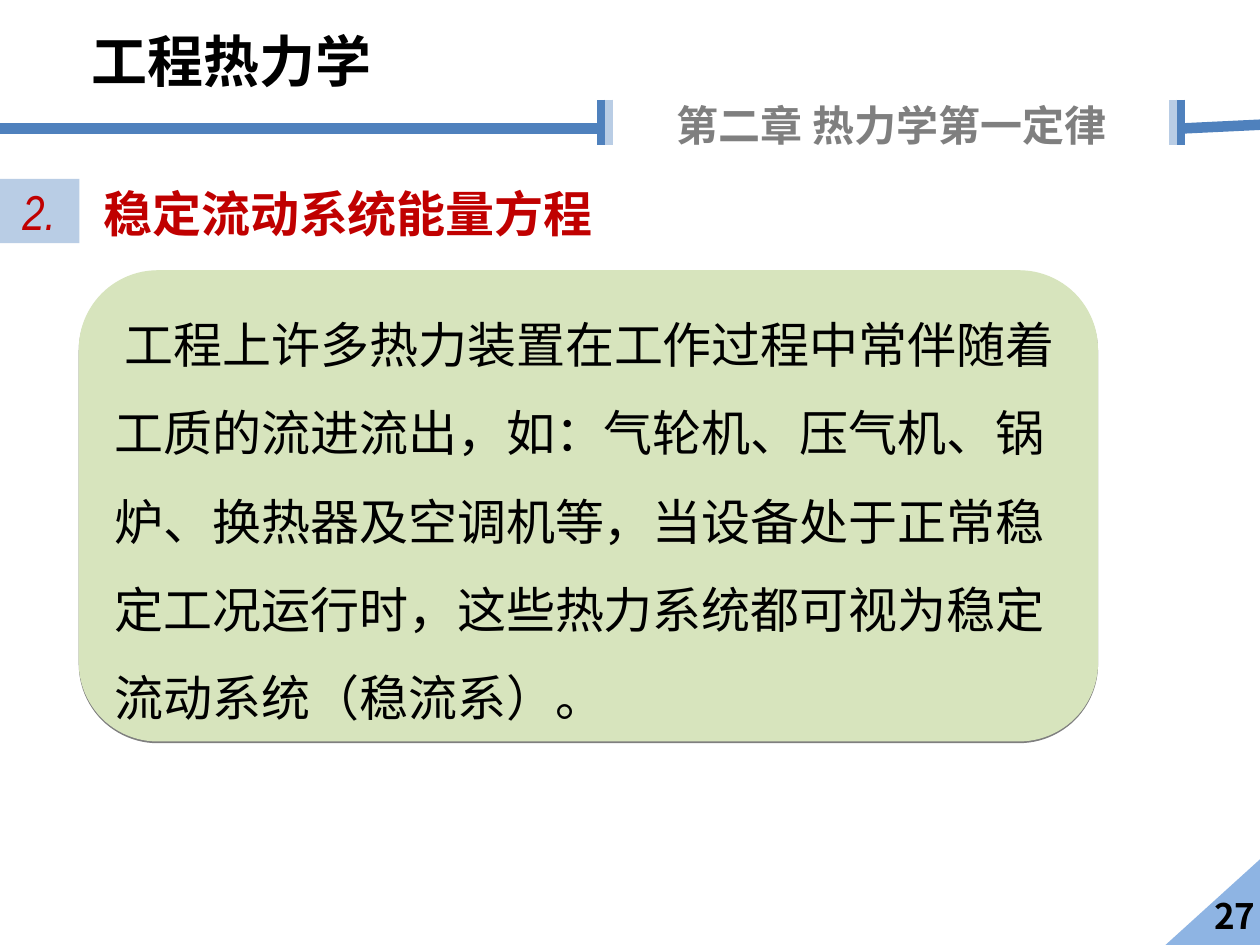
import pptx
import pptx.util
import pptx.dml.color
import pptx.enum.shapes
import pptx.enum.text
import pptx.oxml
import pptx.oxml.ns
from pptx.util import Inches

SHAPE = pptx.enum.shapes.MSO_SHAPE
ALIGN = pptx.enum.text.PP_ALIGN
ANCHOR = pptx.enum.text.MSO_ANCHOR
SANS = "Noto Sans CJK SC"
BLUE, PALE, RED = "4F81BD", "B9CDE5", "C00000"


def color(code):
    """Turn a hex string into a colour."""
    return pptx.dml.color.RGBColor.from_string(code)


def write(shape, text, size, code, face=SANS, bold=False, italic=False,
          align=ALIGN.LEFT, anchor=ANCHOR.TOP, indent=0, space=1.0):
    """Fill a shape with one styled paragraph."""
    frame = shape.text_frame
    frame.word_wrap = True
    frame.auto_size = pptx.enum.text.MSO_AUTO_SIZE.NONE
    frame.vertical_anchor = anchor
    para = frame.paragraphs[0]
    para.text = text
    para.alignment = align
    para.line_spacing = space
    para._p.get_or_add_pPr().set("indent", str(Inches(indent)))
    font = para.font
    font.name, font.size = face, pptx.util.Pt(size)
    font.bold, font.italic = bold, italic
    font.color.rgb = color(code)
    east = pptx.oxml.parse_xml(
        f'<a:ea {pptx.oxml.ns.nsdecls("a")} typeface="{face}"/>')
    para._p.pPr.find(pptx.oxml.ns.qn("a:defRPr")).append(east)


def place(shape, left, top, width, height):
    """Move and size a shape in inches."""
    shape.left, shape.top = Inches(left), Inches(top)
    shape.width, shape.height = Inches(width), Inches(height)


def label(slide, box, text, size, code, **style):
    """Add a text box."""
    shape = slide.shapes.add_textbox(*map(Inches, box))
    write(shape, text, size, code, **style)


def block(slide, kind, box, fill):
    """Add a flat filled shape without outline."""
    shape = slide.shapes.add_shape(kind, *map(Inches, box))
    shape.shadow.inherit = False
    shape.fill.solid()
    shape.fill.fore_color.rgb = color(fill)
    shape.line.fill.background()
    return shape


def rule(slide, start, end, code, width):
    """Add a straight line without shadow."""
    line = slide.shapes.add_connector(
        pptx.enum.shapes.MSO_CONNECTOR.STRAIGHT, *map(Inches, start + end))
    line.line.color.rgb = color(code)
    line.line.width = pptx.util.Pt(width)
    line._element.spPr.append(pptx.oxml.parse_xml(
        f'<a:effectLst {pptx.oxml.ns.nsdecls("a")}/>'))


def panel(slide, box, fill, text):
    """Add the rounded text panel with a thin drop shadow."""
    shape = block(slide, SHAPE.ROUNDED_RECTANGLE, box, fill)
    shape.line.color.rgb = color(fill)
    shape.line.width = pptx.util.Pt(0.75)
    drop = pptx.oxml.parse_xml(
        f'<a:outerShdw {pptx.oxml.ns.nsdecls("a")} blurRad="0" dist="12700" '
        'dir="5400000" rotWithShape="0"><a:srgbClr val="000000">'
        '<a:alpha val="50000"/></a:srgbClr></a:outerShdw>')
    shape._element.spPr.find(pptx.oxml.ns.qn("a:effectLst")).append(drop)
    write(shape, text, 28, "000000", anchor=ANCHOR.MIDDLE, indent=0.08, space=1.5)


def header(slide):
    """Draw the course name, the chapter and the ruled brackets."""
    label(slide, (0.63, 0.16, 2.8, 0.64), "工程热力学", 32, "000000", bold=True)
    label(slide, (4.69, 0.74, 4.77, 0.5), "第二章 热力学第一定律", 24, "7F7F7F",
          bold=True, align=ALIGN.CENTER)
    rule(slide, (9.38, 1.02), (10, 0.99), BLUE, 6)
    for x, code in ((4.77, BLUE), (9.37, BLUE), (4.83, PALE), (9.31, PALE)):
        rule(slide, (x, 0.79), (x, 1.15), code, 4.5)
    rule(slide, (0, 1.02), (4.77, 1.02), BLUE, 6)


def main():
    """Build the slide and save it."""
    deck = pptx.Presentation()
    deck.slide_width, deck.slide_height = Inches(10), Inches(7.5)
    slide = deck.slides.add_slide(deck.slide_layouts[5])
    title = slide.shapes.title
    place(title, 0.72, 1.41, 6.87, 0.57)
    write(title, "稳定流动系统能量方程", 28, RED, bold=True)
    block(slide, SHAPE.ISOSCELES_TRIANGLE, (9.25, 6.82, 1.5, 0.68), "8EB4E3")
    header(slide)
    number = block(slide, SHAPE.RECTANGLE, (0, 1.42, 0.63, 0.51), PALE)
    write(number, "2.", 28, RED, face="Arial Narrow", italic=True,
          anchor=ANCHOR.MIDDLE, indent=0.08)
    label(slide, (8.7, 7.03, 2.2, 0.47), "27", 20, "000000", bold=True,
          align=ALIGN.CENTER, anchor=ANCHOR.MIDDLE)
    panel(slide, (0.63, 2.15, 8.08, 3.73), "D7E4BD",
          "工程上许多热力装置在工作过程中常伴随着工质的流进流出，如：气轮机、"
          "压气机、锅炉、换热器及空调机等，当设备处于正常稳定工况运行时，"
          "这些热力系统都可视为稳定流动系统（稳流系）。")
    deck.save("out.pptx")


if __name__ == "__main__":
    main()
